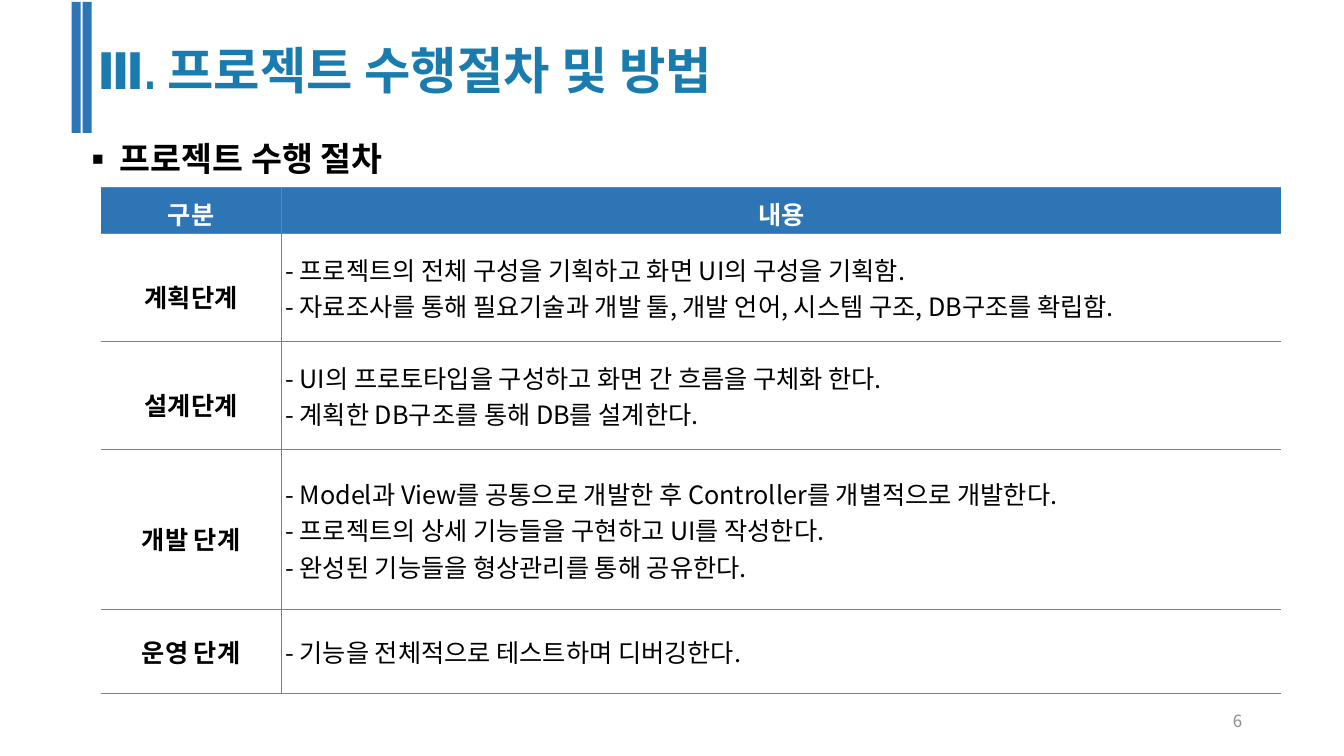
import pptx
import pptx.dml.color
import pptx.enum.shapes
import pptx.enum.text
import pptx.oxml
import pptx.oxml.ns
import pptx.util

PX = 9144  # 100 px to the inch
COLORS = {"blue": "2E75B6", "title": "1A7BAE", "line": "808080",
          "number": "8C8C8C", "white": "FFFFFF", "black": "000000"}
KOREAN = "Noto Sans CJK KR"
NS = pptx.oxml.ns.nsdecls("a")
ALIGN = pptx.enum.text.PP_ALIGN
MIDDLE = pptx.enum.text.MSO_ANCHOR.MIDDLE


def rgb(name):
    return pptx.dml.color.RGBColor.from_string(COLORS[name])


def write(p, text, size=18, color="black", bold=False, font=KOREAN,
          align=ALIGN.LEFT, spacing=1.0):
    p.alignment, p.line_spacing = align, spacing
    p.space_before = pptx.util.Pt(0)
    r = p.add_run()
    r.text = text
    r.font.size, r.font.bold, r.font.name = pptx.util.Pt(size), bold, font
    r.font.color.rgb = rgb(color)
    r.font._element.append(pptx.oxml.parse_xml(f'<a:ea {NS} typeface="{KOREAN}"/>'))


prs = pptx.Presentation()
prs.slide_width, prs.slide_height = 1333 * PX, 750 * PX
s = prs.slides.add_slide(prs.slide_layouts[1])

# Twin bars beside the title
bars = s.shapes.add_group_shape()
for x in (71, 82):
    sp = bars.shapes.add_shape(pptx.enum.shapes.MSO_SHAPE.RECTANGLE,
                               x * PX, 2 * PX, 9 * PX, 130 * PX)
    sp.shadow.inherit = False
    sp.fill.solid()
    sp.fill.fore_color.rgb = rgb("blue")
    sp.line.fill.background()

# Title, section heading and page number
title, heading = s.shapes.title, s.placeholders[1]
number = s.shapes.add_textbox(0, 0, 0, 0)
for sp, box in ((title, (86, 34, 744, 71)), (heading, (71, 132, 658, 50)),
                (number, (942, 695, 300, 40))):
    sp.left, sp.top, sp.width, sp.height = (v * PX for v in box)
    tf = sp.text_frame
    tf.word_wrap = True
    tf.auto_size = pptx.enum.text.MSO_AUTO_SIZE.NONE
    tf.vertical_anchor = pptx.enum.text.MSO_ANCHOR.TOP
number.text_frame.vertical_anchor = MIDDLE

write(title.text_frame.paragraphs[0], "Ⅲ. 프로젝트 수행절차 및 방법",
      size=36, color="title", bold=True, font="Arial Narrow")
p = heading.text_frame.paragraphs[0]
pPr = p._p.get_or_add_pPr()
pPr.set("marL", str(38 * PX))
pPr.set("indent", str(-38 * PX))
pPr.append(pptx.oxml.parse_xml(f'<a:buFont {NS} typeface="{KOREAN}"/>'))
pPr.append(pptx.oxml.parse_xml(f'<a:buChar {NS} char="▪"/>'))
write(p, "프로젝트 수행 절차", size=24, bold=True)
write(number.text_frame.paragraphs[0], "6", size=12, color="number", align=ALIGN.RIGHT)

# Table of stages: row height, stage, stage line spacing, contents
rows = [
    (45, "구분", 1.2, ["내용"]),
    (108, "계획단계", 1.5, [
        "- 프로젝트의 전체 구성을 기획하고 화면 UI의 구성을 기획함.",
        "- 자료조사를 통해 필요기술과 개발 툴, 개발 언어, 시스템 구조, DB구조를 확립함."]),
    (107, "설계단계", 1.5, [
        "- UI의 프로토타입을 구성하고 화면 간 흐름을 구체화 한다.",
        "- 계획한 DB구조를 통해 DB를 설계한다."]),
    (159, "개발 단계", 1.5, [
        "- Model과 View를 공통으로 개발한 후 Controller를 개별적으로 개발한다.",
        "- 프로젝트의 상세 기능들을 구현하고 UI를 작성한다.",
        "- 완성된 기능들을 형상관리를 통해 공유한다."]),
    (83, "운영 단계", 1.0, ["- 기능을 전체적으로 테스트하며 디버깅한다."]),
]
table = s.shapes.add_table(len(rows), 2, 100 * PX, 186 * PX, 1171 * PX, 502 * PX).table
table.first_row = table.horz_banding = False
table.columns[0].width, table.columns[1].width = 179 * PX, 992 * PX

for i, (height, stage, spacing, contents) in enumerate(rows):
    table.rows[i].height = height * PX
    header = i == 0
    for j, lines in enumerate(([stage], contents)):
        cell = table.cell(i, j)
        is_content = j == 1 and not header
        cell.vertical_anchor = MIDDLE
        cell.margin_left = 4 * PX if is_content else 0
        cell.margin_right = cell.margin_top = cell.margin_bottom = 0

        # Borders: every side but the outer left and right
        tcPr = cell._tc.get_or_add_tcPr()
        for side in "LRTB":
            outer = side == "LR"[j]
            paint = "<a:noFill/>" if outer else (
                f'<a:solidFill><a:srgbClr val="{COLORS["line"]}"/></a:solidFill>')
            tcPr.append(pptx.oxml.parse_xml(
                f'<a:ln{side} {NS} w="6350">{paint}</a:ln{side}>'))
        if header:
            cell.fill.solid()
            cell.fill.fore_color.rgb = rgb("blue")
        else:
            cell.fill.background()

        tf = cell.text_frame
        for k, line in enumerate(lines):
            p = tf.add_paragraph() if k else tf.paragraphs[0]
            write(p, line, bold=not is_content,
                  color="white" if header else "black",
                  align=ALIGN.JUSTIFY if is_content else ALIGN.CENTER,
                  spacing=1.0 if is_content else spacing)

prs.save("out.pptx")
